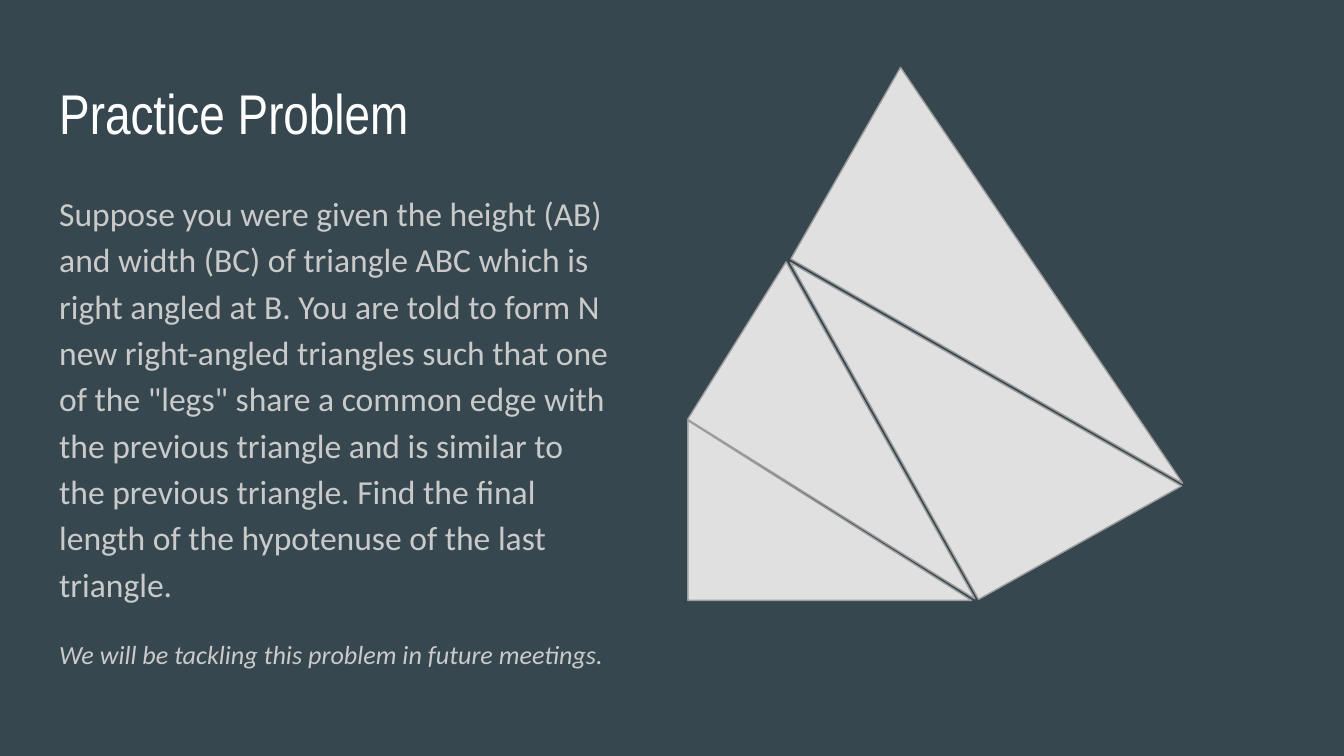
"""Build the Practice Problem slide with its chain of right-angled triangles."""
import pptx
import pptx.dml.color
import pptx.enum.shapes
import pptx.enum.text
import pptx.util

Cm = pptx.util.Cm
Pt = pptx.util.Pt

COLOURS = {
    "background": "37474F",
    "title": "FFFFFF",
    "body": "CACACA",
    "triangle": "E0E0E0",
    "outline": "9E9E9E",
}
PROBLEM = (
    "Suppose you were given the height (AB) and width (BC) of triangle ABC "
    "which is right angled at B. You are told to form N new right-angled "
    "triangles such that one of the \"legs\" share a common edge with the "
    "previous triangle and is similar to the previous triangle. Find the "
    "final length of the hypotenuse of the last triangle."
)
CLOSING = "We will be tackling this problem in future meetings."
TRIANGLES = [
    (13.0, 7.95, 5.36, 3.4, 0, False),
    (13.44, 6.38, 6.4, 3.51, 32, False),
    (14.99, 4.88, 7.29, 4.39, 60.8, True),
    (15.42, 3.12, 8.53, 4.17, 29.8, False),
]


class Painter:
    def __init__(self, deck, colours):
        self.colours = colours
        self.page = deck.slides.add_slide(deck.slide_layouts[6])
        self.paint(self.page.background.fill, "background")

    def colour(self, name):
        return pptx.dml.color.RGBColor.from_string(self.colours[name])

    def paint(self, fill, name):
        fill.solid()
        fill.fore_color.rgb = self.colour(name)

    def text_box(self, left, top, width, height):
        box = self.page.shapes.add_textbox(Cm(left), Cm(top), Cm(width), Cm(height))
        frame = box.text_frame
        frame.word_wrap = True
        frame.vertical_anchor = pptx.enum.text.MSO_ANCHOR.TOP
        frame.margin_left = frame.margin_right = Cm(0.25)
        frame.margin_top = frame.margin_bottom = Cm(0.25)
        return frame

    def add_text(self, para, text, font, size, colour, italic=False, spacing=1.0, gap=0):
        para.line_spacing = spacing
        para.space_before = para.space_after = Pt(gap)
        span = para.add_run()
        span.text = text
        span.font.name = font
        span.font.size = Pt(size)
        span.font.italic = italic
        span.font.color.rgb = self.colour(colour)

    def triangle(self, left, top, width, height, rotation, mirrored):
        shape = self.page.shapes.add_shape(
            pptx.enum.shapes.MSO_SHAPE.RIGHT_TRIANGLE,
            Cm(left), Cm(top), Cm(width), Cm(height),
        )
        shape.shadow.inherit = False
        shape.rotation = rotation
        if mirrored:
            shape.element.spPr.xfrm.set("flipH", "1")
        self.paint(shape.fill, "triangle")
        self.paint(shape.line.fill, "outline")
        shape.line.width = Pt(0.75)


def main():
    deck = pptx.Presentation()
    deck.slide_width, deck.slide_height = Cm(25.4), Cm(14.29)
    painter = Painter(deck, COLOURS)

    body = painter.text_box(0.87, 3.28, 10.95, 9.5)
    painter.add_text(body.paragraphs[0], PROBLEM, "Calibri", 18, "body", spacing=1.15)
    painter.add_text(body.add_paragraph(), CLOSING, "Calibri", 14, "body",
                     italic=True, spacing=1.15, gap=16)

    title = painter.text_box(0.87, 1.24, 23.67, 1.6)
    painter.add_text(title.paragraphs[0], "Practice Problem", "Arial Narrow", 30, "title")

    for triangle in TRIANGLES:
        painter.triangle(*triangle)
    deck.save("out.pptx")


if __name__ == "__main__":
    main()
